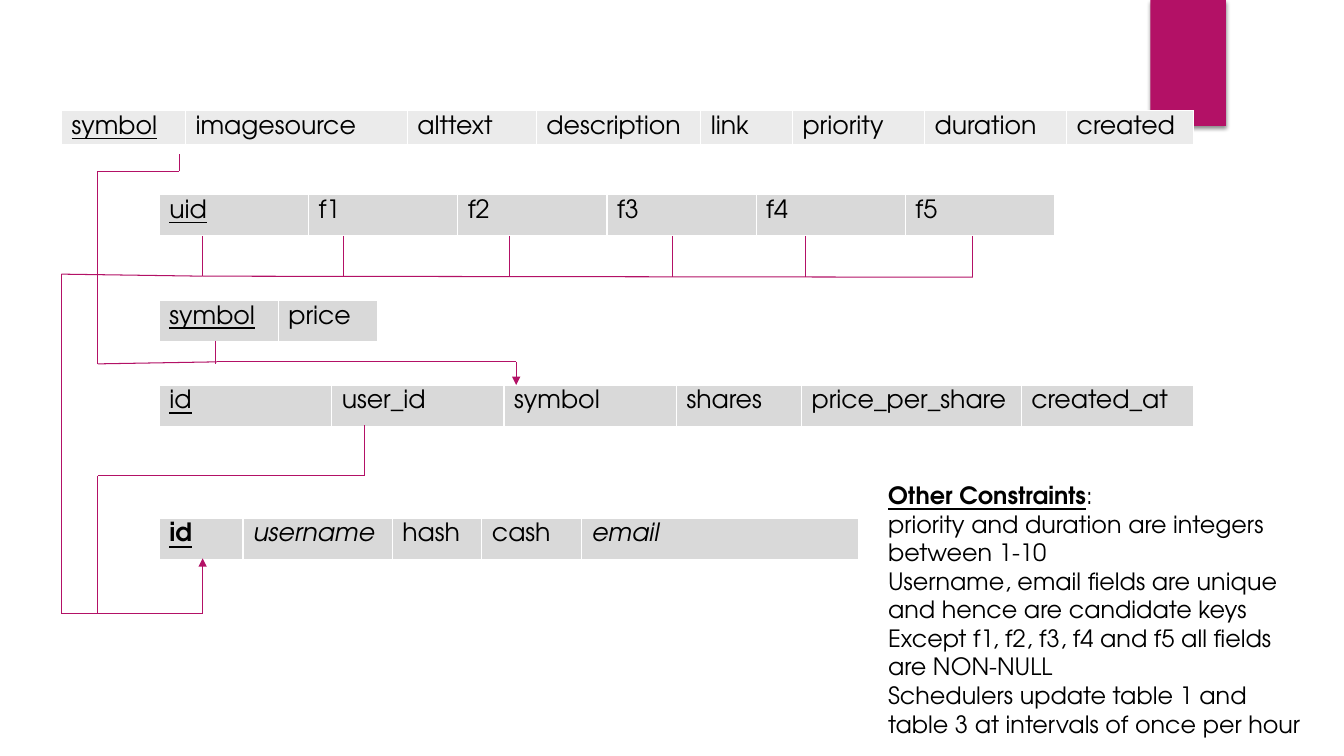
from dataclasses import dataclass
from itertools import pairwise

from lxml.etree import SubElement
from pptx import Presentation
from pptx.dml.color import RGBColor
from pptx.enum.shapes import MSO_CONNECTOR as Connector, MSO_SHAPE as Shape
from pptx.enum.text import MSO_AUTO_SIZE as AutoSize
from pptx.oxml import parse_xml
from pptx.oxml.ns import nsdecls, qn
from pptx.util import Inches, Pt


@dataclass(frozen=True)
class Theme:
    font: str = "TeX Gyre Adventor"
    ink: RGBColor = RGBColor(0x00, 0x00, 0x00)
    accent: RGBColor = RGBColor(0xB3, 0x11, 0x66)
    pale: RGBColor = RGBColor(0xEB, 0xEB, 0xEB)
    grey: RGBColor = RGBColor(0xD9, 0xD9, 0xD9)
    field_size: Pt = Pt(18)
    note_size: Pt = Pt(17)
    line_width: Pt = Pt(0.75)


class SchemaSlide:
    def __init__(self, slide, theme):
        self.shapes = slide.shapes
        self.theme = theme

    def style(self, font, size, bold=False, italic=False, underline=False):
        font.name = self.theme.font
        font.size = size
        font.color.rgb = self.theme.ink
        font.bold, font.italic, font.underline = bold, italic, underline

    def ribbon(self, left, top, width, height):
        ribbon = self.shapes.add_shape(
            Shape.RECTANGLE, Inches(left), Inches(top), Inches(width), Inches(height))
        ribbon.fill.solid()
        ribbon.fill.fore_color.rgb = self.theme.accent
        ribbon.line.fill.background()
        ribbon.shadow.inherit = False
        effects = ribbon._element.spPr.find(qn("a:effectLst"))
        effects.append(parse_xml(
            f'<a:outerShdw {nsdecls("a")} blurRad="{Pt(3)}" dist="{Pt(2)}" dir="5400000" rotWithShape="0">'
            '<a:srgbClr val="000000"><a:alpha val="45000"/></a:srgbClr></a:outerShdw>'))

    def relation(self, left, top, height, fill, fields, keys=(), candidates=(), bold=()):
        frame = self.shapes.add_table(
            1, len(fields), Inches(left), Inches(top),
            Inches(sum(width for _, width in fields)), Inches(height))
        table = frame.table
        table.horz_banding = False
        table.rows[0].height = Inches(height)
        for column, (name, width) in enumerate(fields):
            table.columns[column].width = Inches(width)
            cell = table.cell(0, column)
            cell.margin_bottom = 0
            cell.fill.solid()
            cell.fill.fore_color.rgb = fill
            cell.text = name
            self.style(cell.text_frame.paragraphs[0].font, self.theme.field_size,
                       bold=name in bold, italic=name in candidates, underline=name in keys)

    def route(self, *points, arrow=False):
        for start, end in pairwise(points):
            segment = self.shapes.add_connector(
                Connector.STRAIGHT, *(Inches(value) for value in start + end))
            segment.line.color.rgb = self.theme.accent
            segment.line.width = self.theme.line_width
            properties = segment._element.spPr
            SubElement(properties, qn("a:effectLst"))
            if arrow and end == points[-1]:
                SubElement(properties.find(qn("a:ln")), qn("a:tailEnd"), type="triangle")

    def constraints(self, left, top, width, height, heading, rules):
        box = self.shapes.add_textbox(Inches(left), Inches(top), Inches(width), Inches(height))
        frame = box.text_frame
        frame.word_wrap = True
        frame.auto_size = AutoSize.SHAPE_TO_FIT_TEXT
        title = frame.paragraphs[0]
        for text, marked in ((heading, True), (":", False)):
            run = title.add_run()
            run.text = text
            self.style(run.font, self.theme.note_size, bold=marked, underline=marked)
        for rule in rules:
            paragraph = frame.add_paragraph()
            paragraph.text = rule
            self.style(paragraph.font, self.theme.note_size)


def main():
    deck = Presentation()
    deck.slide_width, deck.slide_height = Inches(13.33), Inches(7.5)
    theme = Theme()
    schema = SchemaSlide(deck.slides.add_slide(deck.slide_layouts[6]), theme)

    schema.ribbon(11.41, 0, 0.75, 1.25)

    schema.relation(0.61, 1.1, 0.33, theme.pale, [
        ("symbol", 1.23), ("imagesource", 2.2), ("alttext", 1.28), ("description", 1.63),
        ("link", 0.91), ("priority", 1.31), ("duration", 1.41), ("created", 1.26),
    ], keys=["symbol"])
    favourites = ["uid"] + [f"f{number}" for number in range(1, 6)]
    schema.relation(1.58, 1.93, 0.41, theme.grey,
                    [(name, 1.48) for name in favourites], keys=["uid"])
    schema.relation(1.58, 2.98, 0.41, theme.grey,
                    [("symbol", 1.18), ("price", 0.99)], keys=["symbol"])
    schema.relation(1.58, 3.82, 0.41, theme.grey, [
        ("id", 1.71), ("user_id", 1.71), ("symbol", 1.71), ("shares", 1.24),
        ("price_per_share", 2.18), ("created_at", 1.71),
    ], keys=["id"])
    schema.relation(1.58, 5.14, 0.41, theme.grey, [
        ("id", 0.83), ("username", 1.48), ("hash", 0.89), ("cash", 0.99), ("email", 2.75),
    ], keys=["id"], candidates=["username", "email"], bold=["id"])

    schema.route((2.01, 2.34), (2.01, 2.74), (0.61, 2.72), (0.61, 6.09),
                 (2.01, 6.09), (2.01, 5.54), arrow=True)
    schema.route((3.62, 4.22), (3.62, 4.72), (2.64, 4.72), (0.97, 4.72), (0.97, 6.09))
    schema.route((1.78, 1.53), (1.78, 1.7), (0.97, 1.7), (0.97, 3.61),
                 (2.15, 3.59), (5.12, 3.59), (5.12, 3.82), arrow=True)
    schema.route((2.14, 3.38), (2.14, 3.61))
    for favourite_x in (3.41, 5.05, 6.67, 7.99, 9.65):
        schema.route((favourite_x, 2.34), (favourite_x, 2.75))
    schema.route((2.01, 2.74), (9.65, 2.75))

    schema.constraints(8.71, 4.72, 4.31, 2.68, "Other Constraints", [
        "priority and duration are integers between 1-10",
        "Username, email fields are unique and hence are candidate keys",
        "Except f1, f2, f3, f4 and f5 all fields are NON-NULL",
        "Schedulers update table 1 and table 3 at intervals of once per hour",
    ])
    deck.save("out.pptx")


if __name__ == "__main__":
    main()
